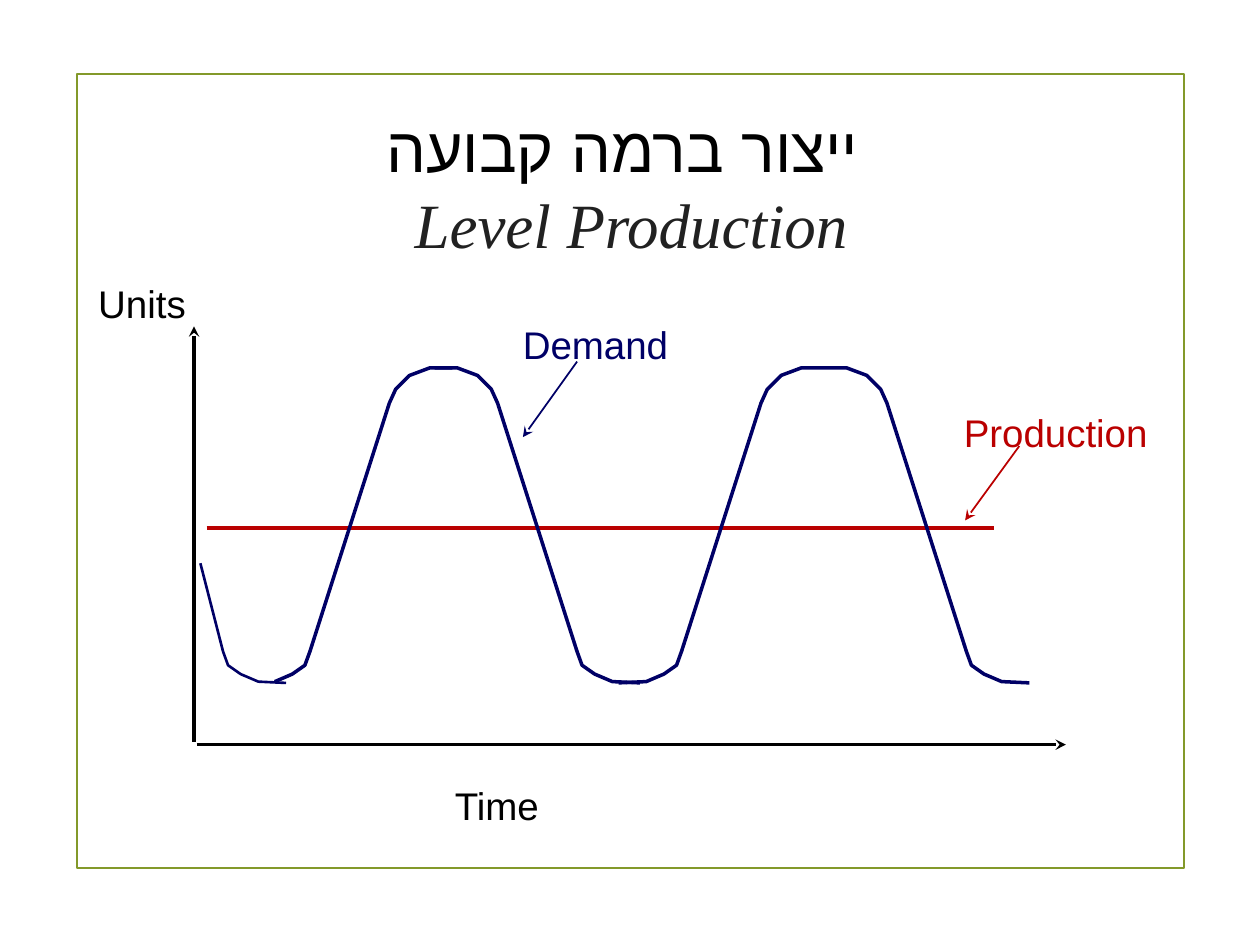
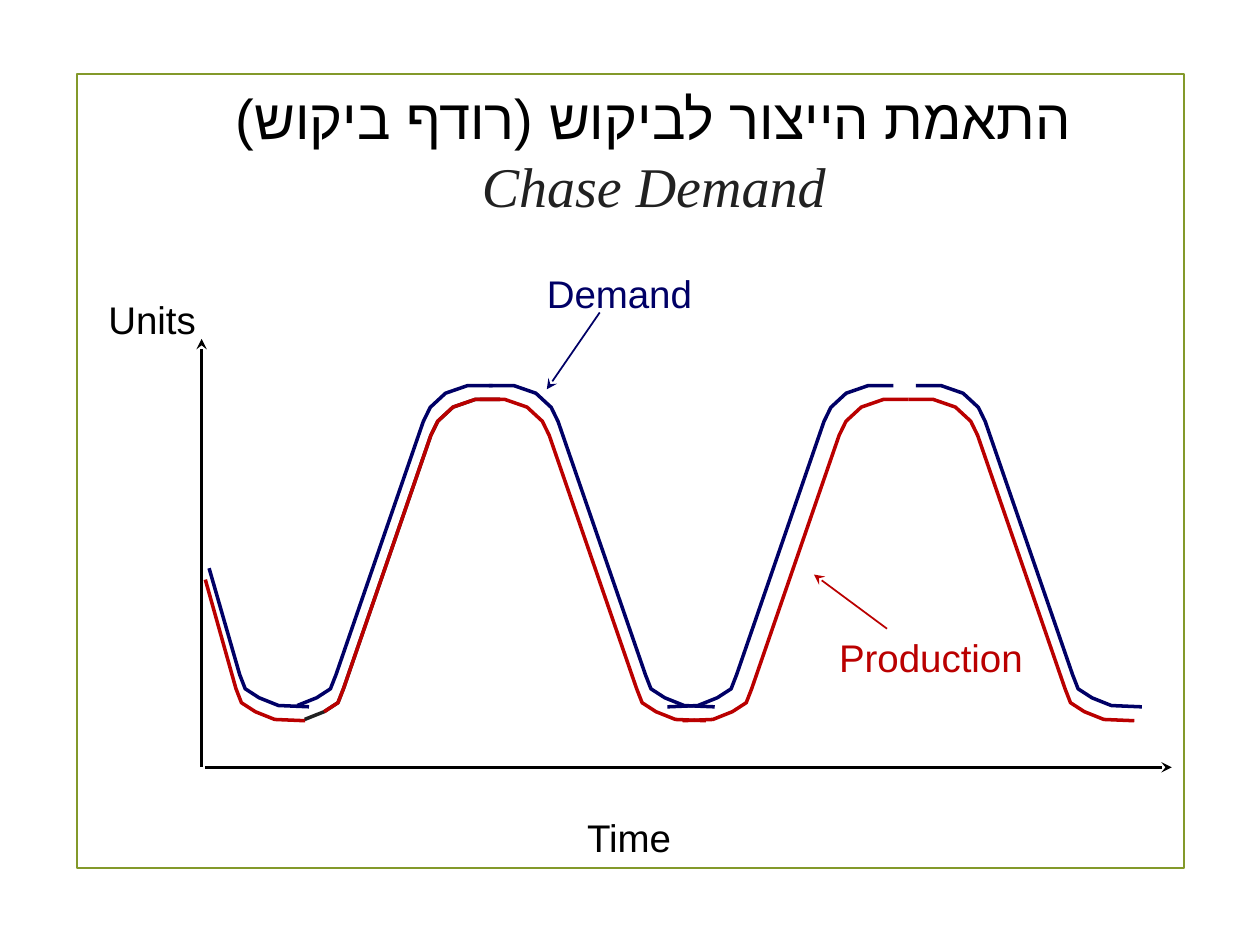
from pptx import Presentation
from pptx.util import Inches, Pt
from pptx.dml.color import RGBColor
from pptx.enum.shapes import MSO_SHAPE, MSO_CONNECTOR
from pptx.enum.text import PP_ALIGN, MSO_ANCHOR, MSO_AUTO_SIZE
from pptx.oxml.ns import qn
from lxml import etree

RECT = MSO_SHAPE.RECTANGLE
STRAIGHT = MSO_CONNECTOR.STRAIGHT
LEFT, CENTER = PP_ALIGN.LEFT, PP_ALIGN.CENTER
TOP, MIDDLE = MSO_ANCHOR.TOP, MSO_ANCHOR.MIDDLE
GROW, FIXED = MSO_AUTO_SIZE.SHAPE_TO_FIT_TEXT, MSO_AUTO_SIZE.NONE

hues = {
    "frame": "83992A",
    "black": "000000",
    "dark": "212121",
    "navy": "000066",
    "red": "BA0000",
}

slope = [(-0.5, 0), (-0.32, 0), (-0.16, 0.06), (-0.05, 0.17), (0, 0.28),
         (0.63, 2.25), (0.67, 2.36), (0.77, 2.43), (0.91, 2.49), (1.13, 2.5)]

pages = [
    {
        "title": ["ייצור ברמה קבועה ", "Level Production"],
        "place": (-0.13, 0.8),
        "size": 36,
        "labels": [
            ("Time", "black", (3.5, 6.16, 1.16, 0.46)),
            ("Production", "red", (7.54, 3.2, 1.74, 0.46)),
            ("Demand", "navy", (4.04, 2.5, 1.93, 0.46)),
            ("Units", "black", (0.67, 2.17, 0.94, 0.46)),
        ],
        "lines": [
            ("black", 2, "head", (1.54, 2.59, 1.54, 5.89)),
            ("black", 2, "tail", (1.56, 5.91, 8.46, 5.91)),
            ("red", 2.25, None, (1.64, 4.19, 7.89, 4.19)),
            ("navy", 1, "head", (4.15, 3.47, 4.58, 2.87)),
            ("red", 1, "head", (7.66, 4.13, 8.09, 3.54)),
        ],
        "scale": (1, 1),
        "first": 1.5,
        "waves": [("navy", "navy", 2.92, (1.59, 4.47), (1.14, 3.09, 3.95, 6.04, 7.04))],
    },
    {
        "title": ["התאמת הייצור לביקוש (רודף ביקוש)", "Chase Demand"],
        "place": (0.05, 0.53),
        "size": 32,
        "labels": [
            ("Time", "black", (4.55, 6.41, 2.28, 0.47)),
            ("Units", "black", (0.75, 2.3, 1.12, 0.47)),
            ("Production", "red", (6.55, 4.98, 1.73, 0.47)),
            ("Demand", "navy", (4.23, 2.09, 1.92, 0.47)),
        ],
        "lines": [
            ("black", 2, "head", (1.6, 2.69, 1.6, 6.09)),
            ("black", 2, "tail", (1.63, 6.09, 9.3, 6.09)),
            ("navy", 1, "head", (4.34, 3.09, 4.76, 2.48)),
            ("red", 1, "head", (6.46, 4.56, 7.04, 4.99)),
        ],
        "scale": (1.1, 1.02),
        "first": 2,
        "waves": [
            ("navy", "navy", 3.06, (1.66, 4.51), (1.21, 3.36, 4.43, 6.54, 7.82)),
            ("red", "dark", 3.17, (1.63, 4.6), (1.18, 3.42, 4.36, 6.66, 7.76)),
        ],
    },
]


def write(slide, place, rows, size=22, font="Arial", align=LEFT, anchor=TOP, fit=GROW):
    box = slide.shapes.add_textbox(*map(Inches, place))
    frame = box.text_frame
    frame.word_wrap = True
    frame.auto_size = fit
    frame.vertical_anchor = anchor
    frame.margin_left = frame.margin_right = Inches(0.11)
    frame.margin_top = frame.margin_bottom = Inches(0.05)
    for i, (words, hue, slant) in enumerate(rows):
        para = frame.add_paragraph() if i else frame.paragraphs[0]
        para.alignment = align
        run = para.add_run()
        run.text = words
        run.font.size = Pt(size)
        run.font.name = font
        run.font.italic = slant
        run.font.color.rgb = RGBColor.from_string(hues[hue])
        etree.SubElement(run.font._element, qn("a:cs"), typeface="Arial")


def stroke(shape, hue, width):
    shape.line.color.rgb = RGBColor.from_string(hues[hue])
    shape.line.width = Pt(width)


deck = Presentation()
deck.slide_width, deck.slide_height = Inches(10), Inches(7.5)

for page in pages:
    slide = deck.slides.add_slide(deck.slide_layouts[6])
    border = slide.shapes.add_shape(RECT, *map(Inches, (0.61, 0.59, 8.79, 6.3)))
    border.shadow.inherit = False
    border.fill.background()
    stroke(border, "frame", 1.25)

    head, sub = page["title"]
    write(slide, (*page["place"], 10.28, 1.34),
          [(head, "black", False), (sub, "dark", True)],
          size=page["size"], font="Times New Roman", align=CENTER,
          anchor=MIDDLE, fit=FIXED)

    for hue, width, end, ends in page["lines"]:
        line = slide.shapes.add_connector(STRAIGHT, *map(Inches, ends))
        stroke(line, hue, width)
        if end:
            etree.SubElement(line.line._get_or_add_ln(), qn(f"a:{end}End"), type="stealth")
        etree.SubElement(line._element.spPr, qn("a:effectLst"))

    wide, tall = page["scale"]
    for hue, under, crest, start, knees in page["waves"]:
        parts = []
        for i, knee in enumerate(knees):
            side = 1 if i % 2 == 0 else -1
            dots = [(knee + side * wide * x, crest + tall * y) for x, y in slope]
            if i == 0:
                parts.append((hue, page["first"], [start] + dots[5:]))
            elif i == 1:
                parts.append((under, 2, dots[:-1]))
                if under != hue:
                    parts.append((hue, 2, dots[:-2]))
            else:
                parts.append((hue, 2, dots))
        for tint, width, dots in parts:
            spots = [(Inches(x), Inches(y)) for x, y in dots]
            pen = slide.shapes.build_freeform(*spots[0])
            pen.add_line_segments(spots[1:], close=False)
            curve = pen.convert_to_shape()
            curve.shadow.inherit = False
            curve.fill.background()
            stroke(curve, tint, width)

    for words, hue, place in page["labels"]:
        write(slide, place, [(words, hue, False)])

deck.save("out.pptx")
